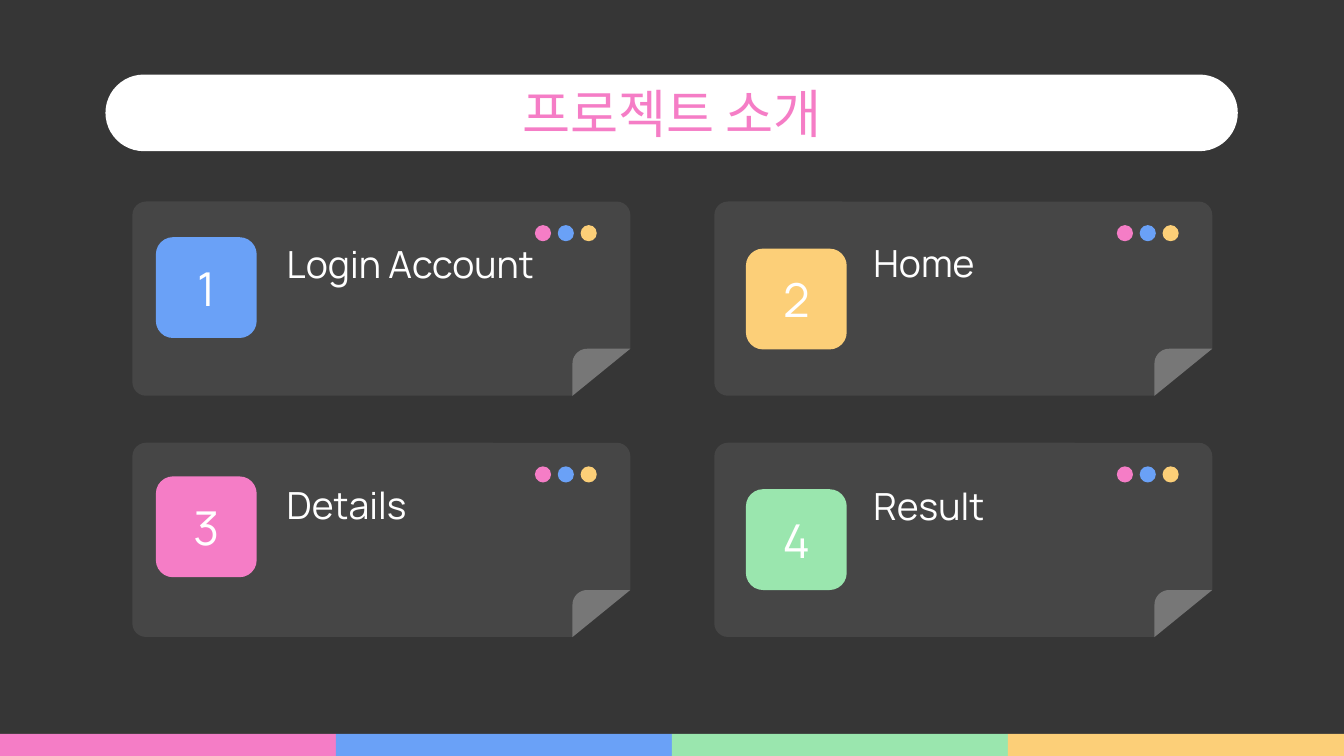
from math import cos, pi, sin

from pptx import Presentation
from pptx.dml.color import RGBColor
from pptx.enum.shapes import MSO_SHAPE
from pptx.enum.text import MSO_ANCHOR, MSO_AUTO_SIZE, PP_ALIGN
from pptx.util import Pt

PX = 4572  # 200 px to the inch
WIDTH, HEIGHT = 2000, 1125

RECT = MSO_SHAPE.RECTANGLE
ROUNDED = MSO_SHAPE.ROUNDED_RECTANGLE
OVAL = MSO_SHAPE.OVAL
RIGHT_TRIANGLE = MSO_SHAPE.RIGHT_TRIANGLE
LEFT, CENTER = PP_ALIGN.LEFT, PP_ALIGN.CENTER
MIDDLE = MSO_ANCHOR.MIDDLE
NO_AUTOFIT = MSO_AUTO_SIZE.NONE

FONT = "Manrope"
DARK = RGBColor(0x36, 0x36, 0x36)
PANEL = RGBColor(0x46, 0x46, 0x46)
FOLD = RGBColor(0x77, 0x77, 0x77)
WHITE = RGBColor(0xFF, 0xFF, 0xFF)
PINK = RGBColor(0xF5, 0x7D, 0xC6)
BLUE = RGBColor(0x6A, 0xA1, 0xF7)
GREEN = RGBColor(0x9A, 0xE6, 0xAE)
YELLOW = RGBColor(0xFC, 0xCF, 0x78)

prs = Presentation()
prs.slide_width, prs.slide_height = WIDTH * PX, HEIGHT * PX
slide = prs.slides.add_slide(prs.slide_layouts[5])
slide.background.fill.solid()
slide.background.fill.fore_color.rgb = DARK


def add_block(kind, left, top, width, height, color, rounding=None):
    """Add a flat, borderless preset shape, placed in px."""
    block = slide.shapes.add_shape(kind, left * PX, top * PX, width * PX, height * PX)
    block.shadow.inherit = False
    block.fill.solid()
    block.fill.fore_color.rgb = color
    block.line.fill.background()
    if rounding is not None:
        block.adjustments[0] = rounding
    return block


def write(holder, text, size, color, align):
    """Write one line, centred vertically, in a shape's text frame."""
    frame = holder.text_frame
    frame.word_wrap = True
    frame.auto_size = NO_AUTOFIT
    frame.vertical_anchor = MIDDLE
    frame.margin_left = frame.margin_right = 20 * PX
    frame.margin_top = frame.margin_bottom = 20 * PX
    paragraph = frame.paragraphs[0]
    paragraph.alignment = align
    run = paragraph.add_run()
    run.text = text
    run.font.name = FONT
    run.font.size = Pt(size)
    run.font.color.rgb = color


# Colour strip along the bottom edge
STRIPE = WIDTH // 4
for i, color in enumerate((PINK, BLUE, GREEN, YELLOW)):
    add_block(RECT, i * STRIPE, 1092, STRIPE, 33, color)

# Title on its white pill
add_block(ROUNDED, 157, 111, 1685, 114, WHITE, 0.5)
title = slide.shapes.title
title.left, title.top, title.width, title.height = 157 * PX, 118 * PX, 1686 * PX, 100 * PX
write(title, "프로젝트 소개", 28, PINK, CENTER)
title.element.getparent().append(title.element)  # in front of the pill

# Cards: card left and top, badge left and top, heading left and top
CARD_W, CARD_H = 741, 289
FOLD_W, FOLD_H, FOLD_RADIUS = 86, 70, 22
cards = [
    ("1", "Login Account", BLUE, 197, 300, 232, 353, 407, 352),
    ("2", "Home", YELLOW, 1063, 300, 1110, 370, 1280, 351),
    ("3", "Details", PINK, 197, 659, 232, 709, 407, 711),
    ("4", "Result", GREEN, 1063, 659, 1110, 728, 1280, 712),
]
for number, heading, color, left, top, badge_x, badge_y, text_x, text_y in cards:
    add_block(ROUNDED, left, top, CARD_W, CARD_H, PANEL, 0.07)
    for i, dot_color in enumerate((PINK, BLUE, YELLOW)):
        add_block(OVAL, left + 599 + 34 * i, top + 35, 24, 24, dot_color)

    # Cut-off corner, then the folded flap with one rounded corner
    fold_x, fold_y = left + CARD_W - FOLD_W, top + CARD_H - FOLD_H
    cut = add_block(RIGHT_TRIANGLE, fold_x + 1, fold_y + 1, 85, 69, DARK)
    cut.element.spPr.xfrm.set("flipH", "1")
    cut.line.color.rgb = DARK
    cut.line.width = Pt(0.75)
    angles = [i * pi / 20 for i in range(11)]
    outline = [(FOLD_RADIUS * (1 - sin(a)), FOLD_RADIUS * (1 - cos(a))) for a in angles]
    outline += [(0, FOLD_H), (FOLD_W, 0)]
    points = [((fold_x + x) * PX, (fold_y + y) * PX) for x, y in outline]
    builder = slide.shapes.build_freeform(*points[0])
    builder.add_line_segments(points[1:], close=True)
    flap = builder.convert_to_shape()
    flap.shadow.inherit = False
    flap.fill.solid()
    flap.fill.fore_color.rgb = FOLD
    flap.line.fill.background()

    badge = add_block(ROUNDED, badge_x, badge_y, 150, 150, color, 0.17)
    write(badge, number, 25, WHITE, CENTER)
    label = slide.shapes.add_textbox(text_x * PX, text_y * PX, 504 * PX, 80 * PX)
    write(label, heading, 20, WHITE, LEFT)

prs.save("out.pptx")
